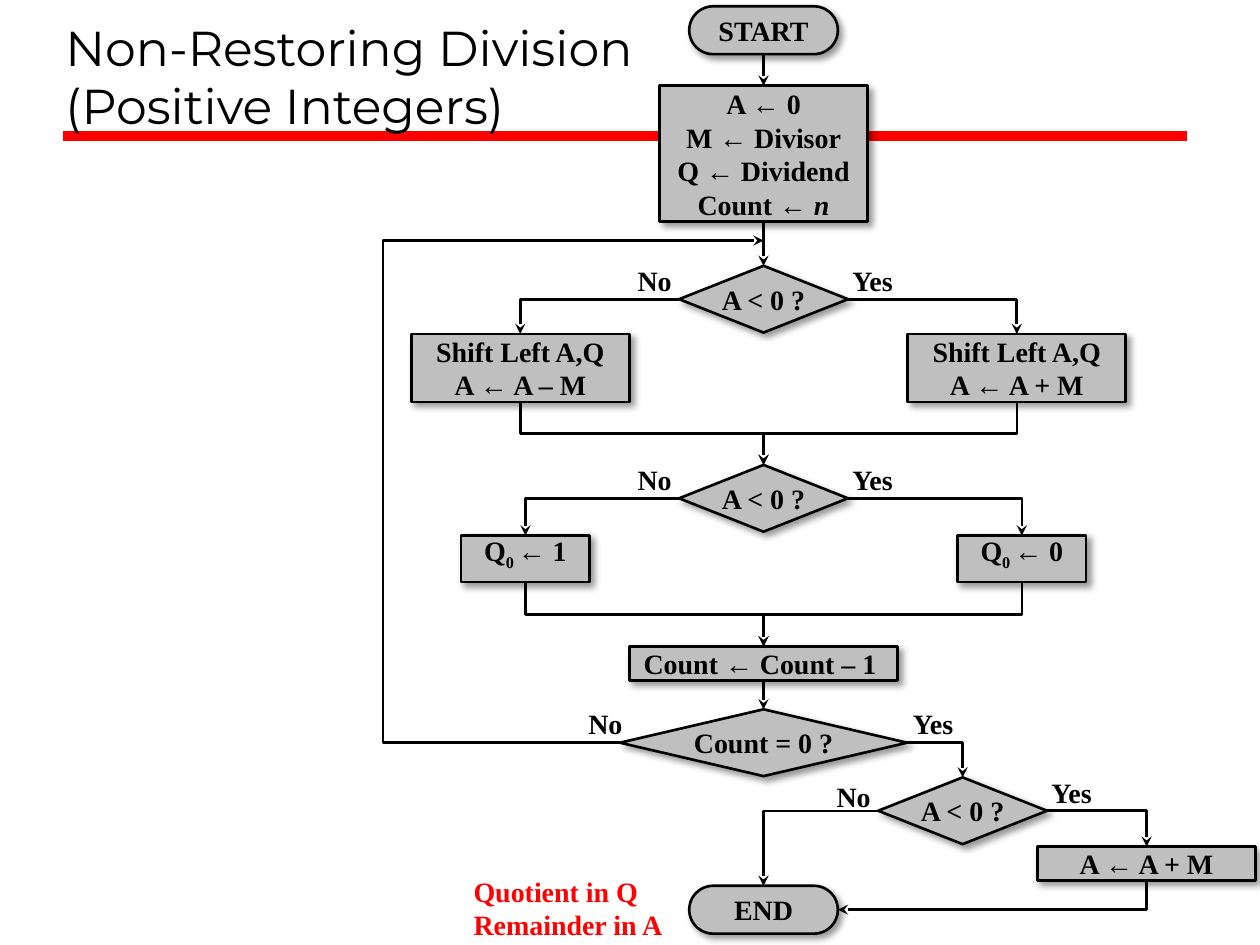
from lxml.etree import SubElement
from pptx import Presentation
from pptx.dml.color import RGBColor
from pptx.enum.shapes import MSO_CONNECTOR as Link, MSO_SHAPE as Preset
from pptx.enum.text import MSO_ANCHOR as Anchor, PP_ALIGN as Align
from pptx.oxml.ns import qn
from pptx.util import Inches, Pt

BLACK = RGBColor(0x00, 0x00, 0x00)
GREY = RGBColor(0xBF, 0xBF, 0xBF)
RED = RGBColor(0xFF, 0x00, 0x00)

# The slide is a grid of 100 columns by 75 rows
COLUMNS, ROWS = 100, 75
CELL = Inches(0.1)

# Connection sites shared by all flowchart shapes
TOP, LEFT, BOTTOM, RIGHT = range(4)


def grid(*cells):
    return [round(cell * CELL) for cell in cells]


def write(frame, paragraphs, font="Times New Roman", size=16, bold=True, color=BLACK,
          align=Align.CENTER, anchor=Anchor.TOP, insets=(0, 0, 0, 0), wrap=True):
    """Each paragraph is a string, or a list of (text, style) runs."""
    frame.word_wrap = wrap
    frame.vertical_anchor = anchor
    (frame.margin_left, frame.margin_top,
     frame.margin_right, frame.margin_bottom) = grid(*insets)
    for number, content in enumerate(paragraphs):
        paragraph = frame.add_paragraph() if number else frame.paragraphs[0]
        paragraph.alignment = align
        pieces = [(content, "")] if isinstance(content, str) else content
        if isinstance(content, str):
            paragraph.text = content
        else:
            for piece, _ in pieces:
                paragraph.add_run().text = piece
        for run in paragraph.runs:
            run.font.name, run.font.size = font, Pt(size)
            run.font.bold, run.font.color.rgb = bold, color
        for run, (_, style) in zip(paragraph.runs, pieces):
            if style == "italic":
                run.font.italic = True
            elif style == "subscript":
                run.font._element.set("baseline", "-25000")


class Flowchart:
    def __init__(self, slide, line_width=1.5):
        self.shapes = slide.shapes
        self.line_width = line_width

    def text(self, left, top, width, height, paragraphs, **style):
        box = self.shapes.add_textbox(*grid(left, top, width, height))
        write(box.text_frame, paragraphs, **style)

    def label(self, center, top, word):
        self.text(center - 3.55, top, 7.1, 3.7, [word], insets=(1, 0.5, 1, 0.5))

    def node(self, preset, center, top, width, height, *paragraphs, insets=(0, 0, 0, 0)):
        shape = self.shapes.add_shape(preset, *grid(center - width / 2, top, width, height))
        shape.fill.solid()
        shape.fill.fore_color.rgb = GREY
        shape.line.color.rgb = BLACK
        shape.line.width = Pt(self.line_width)
        shape.shadow.inherit = False
        effects = shape._element.spPr.find(qn("a:effectLst"))
        shadow = SubElement(effects, qn("a:outerShdw"), blurRad=str(Pt(4)), dist=str(Pt(3)),
                            dir="2700000", algn="tl", rotWithShape="0")
        black = SubElement(shadow, qn("a:srgbClr"), val=str(BLACK))
        SubElement(black, qn("a:alpha"), val="40000")
        write(shape.text_frame, paragraphs, anchor=Anchor.MIDDLE, insets=insets)
        return shape

    def process(self, *args, **options):
        return self.node(Preset.FLOWCHART_PROCESS, *args, **options)

    def decision(self, center, top, question, width=13.4):
        return self.node(Preset.FLOWCHART_DECISION, center, top, width, 5.3, question)

    def terminator(self, center, top, word):
        return self.node(Preset.FLOWCHART_TERMINATOR, center, top, 11.8, 3.8, word)

    def line(self, kind, begin, end, color=BLACK, width=None):
        line = self.shapes.add_connector(kind, *grid(*begin, *end))
        line.line.color.rgb = color
        line.line.width = Pt(width or self.line_width)
        SubElement(line._element.spPr, qn("a:effectLst"))
        return line

    def arrow(self, kind, source, site, target=None, target_site=TOP, end=(0, 0)):
        arrow = self.line(kind, (0, 0), end)
        arrow.begin_connect(source, site)
        if target is not None:
            arrow.end_connect(target, target_site)
        SubElement(arrow.line._get_or_add_ln(), qn("a:tailEnd"), type="stealth")
        return arrow

    def down(self, source, target):
        self.arrow(Link.STRAIGHT, source, BOTTOM, target)

    def corner(self, source, site, target, target_site=TOP):
        """One bend, leaving the source from the given site."""
        arrow = self.arrow(Link.ELBOW, source, site, target, target_site)
        arrow._element.spPr.find(qn("a:prstGeom")).set("prst", "bentConnector2")
        if site == BOTTOM:
            self.turn(arrow)

    def merge(self, source, target):
        """Two bends: down, across, down."""
        self.turn(self.arrow(Link.ELBOW, source, BOTTOM, target))

    def turn(self, arrow):
        """Rotate a quarter turn so that the first leg is vertical."""
        across, fall = arrow.end_x - arrow.begin_x, arrow.end_y - arrow.begin_y
        middle_x = (arrow.begin_x + arrow.end_x) // 2
        middle_y = (arrow.begin_y + arrow.end_y) // 2
        arrow.begin_x, arrow.end_x = middle_x - fall // 2, middle_x + fall // 2
        arrow.begin_y, arrow.end_y = middle_y + across // 2, middle_y - across // 2
        arrow._element.spPr.find(qn("a:xfrm")).set("rot", "5400000")

    def loop(self, source, end, column):
        """Leave to the left, climb along the column and return to the end."""
        arrow = self.arrow(Link.ELBOW, source, LEFT, end=end)
        arrow.end_x, arrow.end_y = grid(*end)
        share = (column * CELL - arrow.begin_x) / (arrow.end_x - arrow.begin_x)
        guides = arrow._element.spPr.find(qn("a:prstGeom")).find(qn("a:avLst"))
        SubElement(guides, qn("a:gd"), name="adj1", fmla=f"val {round(share * 100000)}")


def main():
    deck = Presentation()
    deck.slide_width, deck.slide_height = grid(COLUMNS, ROWS)
    chart = Flowchart(deck.slides.add_slide(deck.slide_layouts[6]))
    axis = 60.6

    # Heading
    chart.line(Link.STRAIGHT, (5, 10.8), (94.2, 10.8), color=RED, width=6)
    chart.text(5.2, 0, 52.6, 10.7, ["Non-Restoring Division\v(Positive Integers)"],
               font="Montserrat", size=28, bold=False, align=Align.LEFT, anchor=Anchor.BOTTOM)

    # Main column
    start = chart.terminator(axis, 0.5, "START")
    setup = chart.process(axis, 6.8, 16.5, 10.8, "A ← 0", "M ← Divisor", "Q ← Dividend",
                          [("Count ← ", ""), ("n", "italic")])
    shift_test = chart.decision(axis, 21.1, "A < 0 ?")
    bit_test = chart.decision(axis, 36.9, "A < 0 ?")
    countdown = chart.process(axis, 51.3, 21.3, 2.7, "Count ← Count – 1 ")
    count_test = chart.decision(axis, 56.3, "Count = 0 ?", width=22.8)
    finish = chart.terminator(axis, 70.3, "END")

    # Final correction
    sign_test = chart.decision(76.4, 61.7, "A < 0 ?")
    restore = chart.process(91, 67.2, 17.3, 2.7, "A ← A + M")

    # Straight steps
    for source, target in ((start, setup), (setup, shift_test), (countdown, count_test)):
        chart.down(source, target)

    # Left and right branches of both tests
    branches = ((LEFT, 41.3, 41.7, "–", "1"), (RIGHT, 80.7, 81.1, "+", "0"))
    for side, shift_center, bit_center, sign, bit in branches:
        shift = chart.process(shift_center, 26.5, 17.3, 5.4, "Shift Left A,Q", f"A ← A {sign} M")
        quotient_bit = chart.process(bit_center, 42.5, 10.2, 3.7,
                                     [("Q", ""), ("0 ", "subscript"), (f"← {bit}", "")],
                                     insets=(0, 0, 0, 1))
        chart.corner(shift_test, side, shift)
        chart.merge(shift, bit_test)
        chart.corner(bit_test, side, quotient_bit)
        chart.merge(quotient_bit, countdown)

    # Loop and exit
    chart.loop(count_test, (axis, 19.1), 30.4)
    chart.corner(count_test, RIGHT, sign_test)
    chart.corner(sign_test, RIGHT, restore)
    chart.corner(sign_test, LEFT, finish)
    chart.corner(restore, BOTTOM, finish, RIGHT)

    # Answers: (No column, No row, Yes column, Yes row)
    for no_x, no_y, yes_x, yes_y in ((51.95, 20.4, 69.25, 20.4), (51.95, 36.2, 69.25, 36.2),
                                     (48.05, 55.6, 74.05, 55.6), (67.75, 61.4, 85.05, 61.1)):
        chart.label(no_x, no_y, "No")
        chart.label(yes_x, yes_y, "Yes")

    # Result
    chart.text(36.6, 68.9, 17.2, 6.4, ["Quotient in Q", "Remainder in A"], color=RED,
               align=Align.LEFT, insets=(1, 0.5, 1, 0.5), wrap=False)

    deck.save("out.pptx")


if __name__ == "__main__":
    main()
